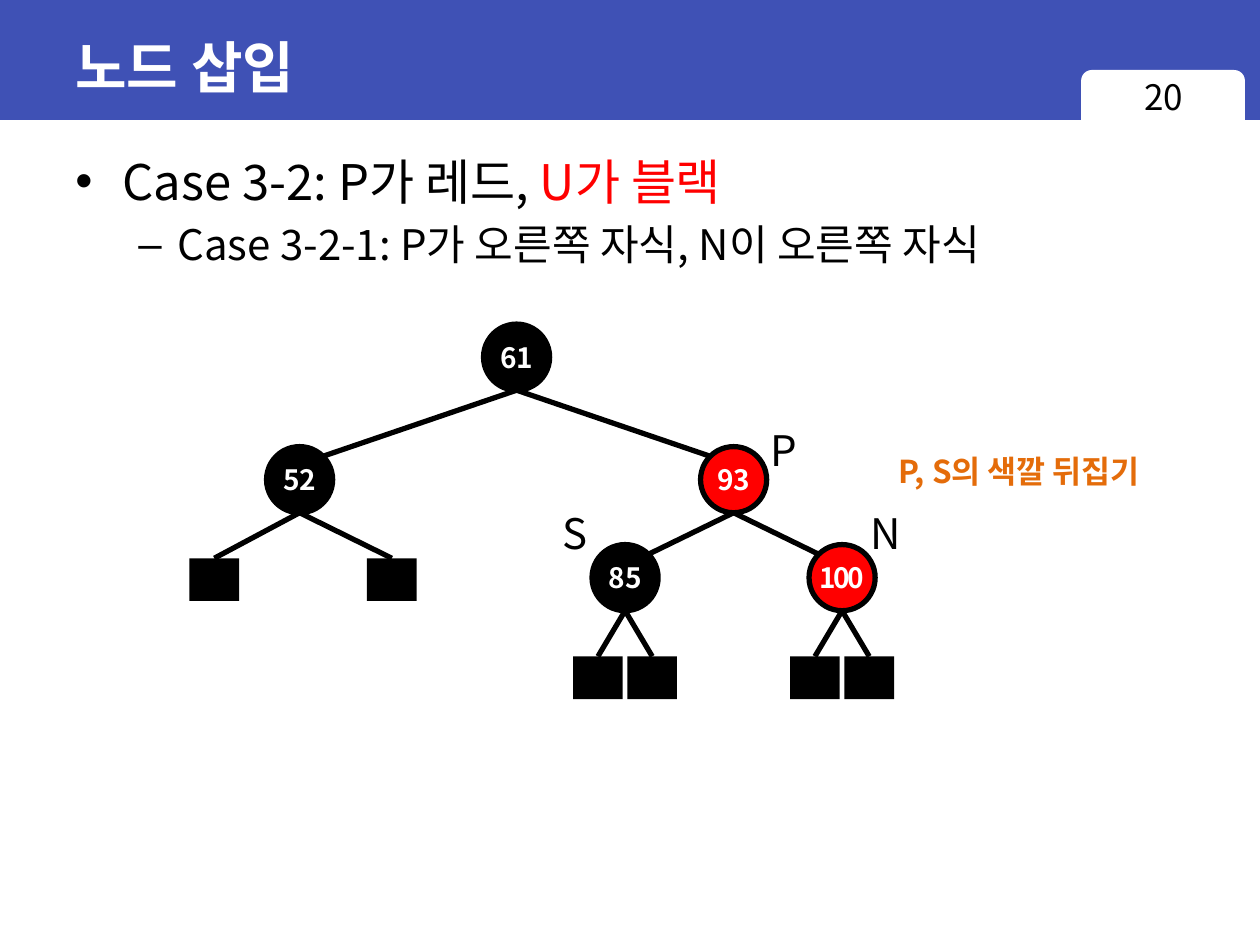
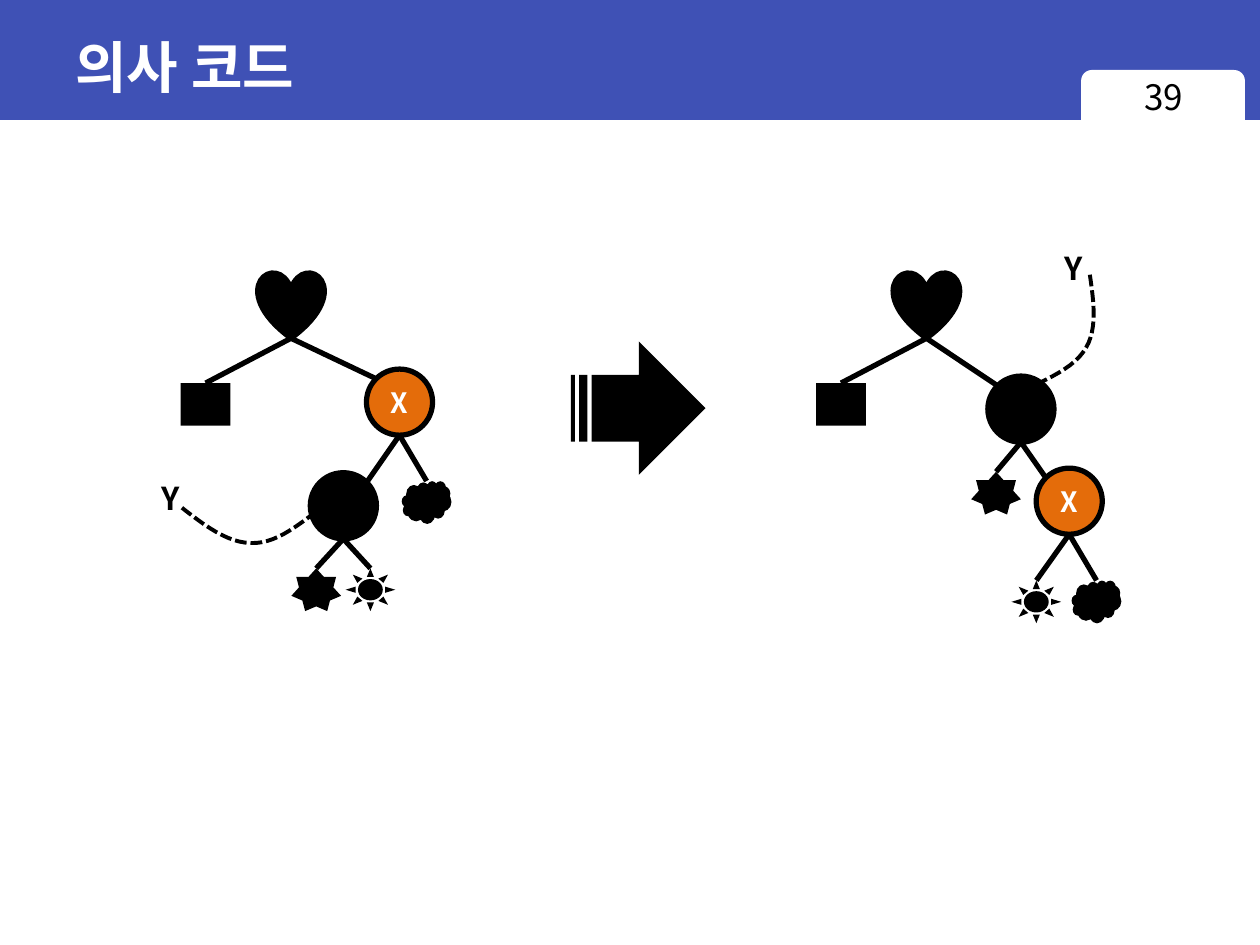
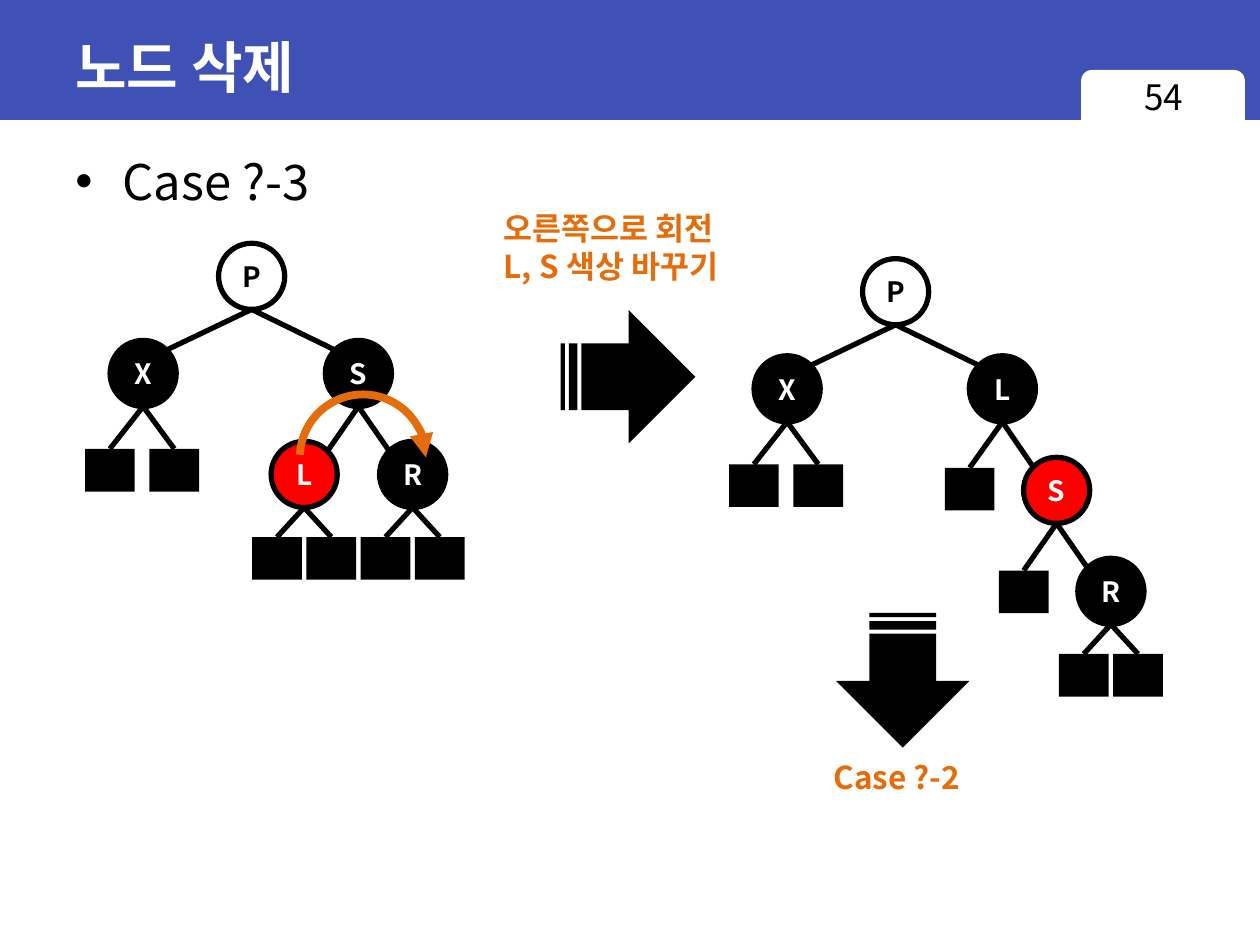
"""Build three slides on red-black tree insertion, rotation and deletion."""
import pptx
import pptx.dml.color
import pptx.enum.dml
import pptx.enum.shapes
import pptx.enum.text
import pptx.oxml.ns
import pptx.util
from lxml import etree

Pt = pptx.util.Pt
FORM = pptx.enum.shapes.MSO_SHAPE
ALIGN = pptx.enum.text.PP_ALIGN
ANCHOR = pptx.enum.text.MSO_ANCHOR
qn = pptx.oxml.ns.qn

HUE = {"band": "3F51B5", "black": "000000", "white": "FFFFFF",
       "red": "FF0000", "gold": "E46C0A"}
SANS = "Noto Sans CJK KR"
TYPE = {
    "title": {"size": Pt(32), "name": "Arial", "bold": True},
    "page": {"size": Pt(20), "name": SANS},
    "head": {"size": Pt(28), "name": SANS},
    "sub": {"size": Pt(24), "name": SANS},
    "note": {"size": Pt(18), "name": SANS, "bold": True},
    "node": {"size": Pt(16), "name": SANS, "bold": True},
}
BULLET = {"head": ("•", 27, -27, 5.6), "sub": ("–", 58.3, -22.3, 4.8)}
DISC, LEAF = (37.8, 37.8), (28.4, 24.4)
KIND = {
    "black": (FORM.OVAL, DISC, "black", "white"),
    "red": (FORM.OVAL, DISC, "red", "white"),
    "gold": (FORM.OVAL, DISC, "gold", "white"),
    "white": (FORM.OVAL, DISC, "white", "black"),
    "heart": (FORM.HEART, DISC, "black", "white"),
    "leaf": (FORM.RECTANGLE, LEAF, "black", "white"),
    "star": (FORM.STAR_7_POINT, LEAF, "black", "white"),
    "sun": (FORM.SUN, LEAF, "black", "white"),
    "cloud": (FORM.CLOUD, LEAF, "black", "white"),
}


def node(kind, label="", *kids):
    """Describe a node; each kid is (dx, dy, node) from its parent's top."""
    return kind, label, kids


def twin(left, right, drop, first="leaf", last="leaf"):
    """Describe two leaves below a node."""
    return (left, drop, node(first)), (right, drop, node(last))


LOW = twin(-15.5, 15.5, 54.7)
DEEP = twin(-15.5, 15.5, 63.9)
WIDE = twin(-19, 17.8, 62)

SLIDES = [
    {"title": "노드 삽입", "page": "20",
     "body": [("head", [("Case 3-2: P가 레드, ", "black"), ("U가 블랙", "red")]),
              ("sub", [("Case 3-2-1: P가 오른쪽 자식, N이 오른쪽 자식", "black")])],
     "trees": [(295.2, 185.2, node(
         "black", "61",
         (-124, 70, node("black", "52", *twin(-48.7, 52.7, 63.8))),
         (124, 70, node("red", "93",
                        (-62, 56, node("black", "85", *DEEP)),
                        (62, 56, node("red", "100", *DEEP))))))],
     "notes": [("N", "sub", "black", 490.3, 286.6, 33.1, 36),
               ("P", "sub", "black", 433.4, 239, 28.1, 36),
               ("S", "sub", "black", 314.6, 286.6, 27.4, 36),
               ("P, S의 색깔 뒤집기", "note", "gold", 506.2, 254.9, 165.6, 28.8)]},
    {"title": "의사 코드", "page": "39",
     "trees": [
         (166.3, 155.5, node(
             "heart", "", (-48.8, 63.4, node("leaf")),
             (62, 55.4, node(
                 "gold", "X",
                 (-32.1, 59.2, node("black", "", *twin(-15.5, 15.5, 54.7, "star", "sun"))),
                 (15.5, 64, node("cloud")))))),
         (529.4, 155.5, node(
             "heart", "", (-48.8, 63.4, node("leaf")),
             (54, 59.4, node(
                 "black", "", (-14.2, 54.7, node("star")),
                 (27.6, 52.6, node("gold", "X", *twin(-18.8, 15.6, 64.2, "sun", "cloud")))))))],
     "notes": [("Y", "note", "black", 85, 270, 25.2, 28.8),
               ("Y", "note", "black", 601.2, 139, 25.2, 28.8)],
     "arrows": [(326.2, 195.1, 0)],
     "curves": [[(180.7, 292.3), (168.5, 301.7), (156.2, 311), (143.3, 310.3),
                 (130.3, 310.3), (116.6, 300.2), (103, 289.4)],
                [(622.8, 157), (625, 172.1), (627.1, 187.9), (620.6, 198.7),
                 (614.2, 210.2), (598.3, 216.7), (583.2, 223.9)]]},
    {"title": "노드 삭제", "page": "54",
     "body": [("head", [("Case ?-3", "black")])],
     "trees": [
         (143.8, 139, node(
             "white", "P", (-62, 55.5, node("black", "X", *WIDE)),
             (61, 55.5, node("black", "S",
                             (-31, 57.7, node("red", "L", *LOW)),
                             (31, 57.7, node("black", "R", *LOW)))))),
         (511.8, 147.8, node(
             "white", "P", (-62, 55.5, node("black", "X", *WIDE)),
             (61, 55.5, node(
                 "black", "L", (-18.7, 64, node("leaf")),
                 (31, 58, node("red", "S", (-18.8, 64.7, node("leaf")),
                               (31, 57.7, node("black", "R", *LOW))))))))],
     "notes": [("오른쪽으로 회전\nL, S 색상 바꾸기", "note", "gold", 280.8, 115.9, 149, 51.1),
               (" Case ?-2", "note", "gold", 465.1, 429.8, 93.6, 28.8)],
     "arrows": [(320.4, 177.1, 0), (477.4, 350.6, 90)],
     "arc": (171.4, 225.4, 72, 72)},
]


def tint(hue):
    """Turn a colour name into a colour."""
    return pptx.dml.color.RGBColor.from_string(HUE[hue])


def stroke(line, hue, width):
    """Set a line's colour and width."""
    line.color.rgb = tint(hue)
    line.width = Pt(width)


def write(para, text, style, hue):
    """Add a styled run to a paragraph."""
    run = para.add_run()
    run.text = text
    for key, val in TYPE[style].items():
        setattr(run.font, key, val)
    run.font.color.rgb = tint(hue)
    props = run._r.get_or_add_rPr()
    etree.SubElement(props, qn("a:ea")).set("typeface", SANS)
    return props


def shape(slide, form, box, fill, line=None):
    """Add a flat preset shape."""
    item = slide.shapes.add_shape(form, *map(Pt, box))
    item.shadow.inherit = False
    if fill:
        item.fill.solid()
        item.fill.fore_color.rgb = tint(fill)
    else:
        item.fill.background()
    if line:
        stroke(item.line, *line)
    else:
        item.line.fill.background()
    return item


def label(slide, text, style, hue, *box, wrap=False, **look):
    """Add a text box with one paragraph per line."""
    frame = slide.shapes.add_textbox(*map(Pt, box)).text_frame
    frame.word_wrap = wrap
    frame.vertical_anchor = look.get("anchor", ANCHOR.TOP)
    for num, part in enumerate(text.split("\n")):
        para = frame.add_paragraph() if num else frame.paragraphs[0]
        para.alignment = look.get("align", ALIGN.LEFT)
        write(para, part, style, hue)


def frame(slide, title, page):
    """Draw the band, the title and the page tab."""
    shape(slide, FORM.RECTANGLE, (0, 0, 720, 68.6), "band")
    shape(slide, FORM.ROUNDED_RECTANGLE, (617.8, 40, 93.6, 36.7), "white")
    label(slide, title, "title", "white", 36, 7.9, 648, 59.8,
          wrap=True, anchor=ANCHOR.MIDDLE)
    label(slide, page, "page", "black", 617.8, 39.6, 94.3, 37.4,
          wrap=True, align=ALIGN.CENTER)


def points(slide, rows):
    """Write the bulleted body."""
    text = slide.shapes.add_textbox(*map(Pt, (36, 82.8, 675.4, 442))).text_frame
    text.word_wrap = True
    for num, (style, runs) in enumerate(rows):
        para = text.add_paragraph() if num else text.paragraphs[0]
        mark, left, hang, gap = BULLET[style]
        para.space_before = Pt(gap)
        props = para._p.get_or_add_pPr()
        props.set("marL", str(Pt(left)))
        props.set("indent", str(Pt(hang)))
        etree.SubElement(props, qn("a:buFont")).set("typeface", "Arial")
        etree.SubElement(props, qn("a:buChar")).set("char", mark)
        for part, hue in runs:
            write(para, part, style, hue)


def edge(slide, *ends):
    """Join two spots with a black line."""
    line = slide.shapes.add_connector(
        pptx.enum.shapes.MSO_CONNECTOR.STRAIGHT, *map(Pt, ends))
    stroke(line.line, "black", 3)
    etree.SubElement(line._element.spPr, qn("a:effectLst"))


def tree(slide, x, y, root):
    """Draw a node whose top centre is at x, y, and all below it."""
    kind, text, kids = root
    form, (wide, high), fill, ink = KIND[kind]
    for dx, dy, kid in kids:
        nook = DISC[0] / 2 * 0.707 if KIND[kid[0]][1] == DISC else 0
        drop = DISC[0] / 2 - nook if nook else 0
        side = -nook if dx > 0 else nook
        edge(slide, x, y + high, x + dx + side, y + dy + drop)
        tree(slide, x + dx, y + dy, kid)
    item = shape(slide, form, (x - wide / 2, y, wide, high), fill,
                 ("black", 3) if high == DISC[1] else None)
    if text:
        body = item.text_frame
        body.margin_left = body.margin_right = 0
        body.vertical_anchor = ANCHOR.MIDDLE
        body.paragraphs[0].alignment = ALIGN.CENTER
        props = write(body.paragraphs[0], text, "node", ink)
        if text in ("100", "R"):
            props.set("spc", "-150")


def bend(a, b, c, d, steps=12):
    """Sample a cubic curve after its start."""
    for num in range(1, steps + 1):
        t = num / steps
        u = 1 - t
        yield tuple(Pt(u**3 * i + 3 * u * u * t * j + 3 * u * t * t * k + t**3 * m)
                    for i, j, k, m in zip(a, b, c, d))


def curve(slide, knots):
    """Draw a dashed curve through chained cubic parts."""
    path = slide.shapes.build_freeform(*map(Pt, knots[0]), scale=1.0)
    for num in range(0, len(knots) - 1, 3):
        path.add_line_segments(list(bend(*knots[num:num + 4])), close=False)
    item = path.convert_to_shape()
    item.shadow.inherit = False
    item.fill.background()
    stroke(item.line, "black", 2.25)
    item.line.dash_style = pptx.enum.dml.MSO_LINE.SQUARE_DOT


def sweep(slide, box):
    """Draw the curved arrow of a rotation."""
    item = shape(slide, FORM.ARC, box, None, ("gold", 4.5))
    item.adjustments[0] = 109.462
    item.adjustments[1] = 0
    etree.SubElement(item.line._get_or_add_ln(), qn("a:tailEnd")).set("type", "triangle")


def main():
    """Build and save the deck."""
    deck = pptx.Presentation()
    deck.slide_width, deck.slide_height = Pt(720), Pt(540)
    for data in SLIDES:
        slide = deck.slides.add_slide(deck.slide_layouts[6])
        frame(slide, data["title"], data["page"])
        if "body" in data:
            points(slide, data["body"])
        for spot in data["trees"]:
            tree(slide, *spot)
        for note in data["notes"]:
            label(slide, *note)
        for x, y, turn in data.get("arrows", []):
            item = shape(slide, FORM.STRIPED_RIGHT_ARROW, (x, y, 77, 76.3), "black")
            item.rotation = turn
        for knots in data.get("curves", []):
            curve(slide, knots)
        if "arc" in data:
            sweep(slide, data["arc"])
    deck.save("out.pptx")


if __name__ == "__main__":
    main()
